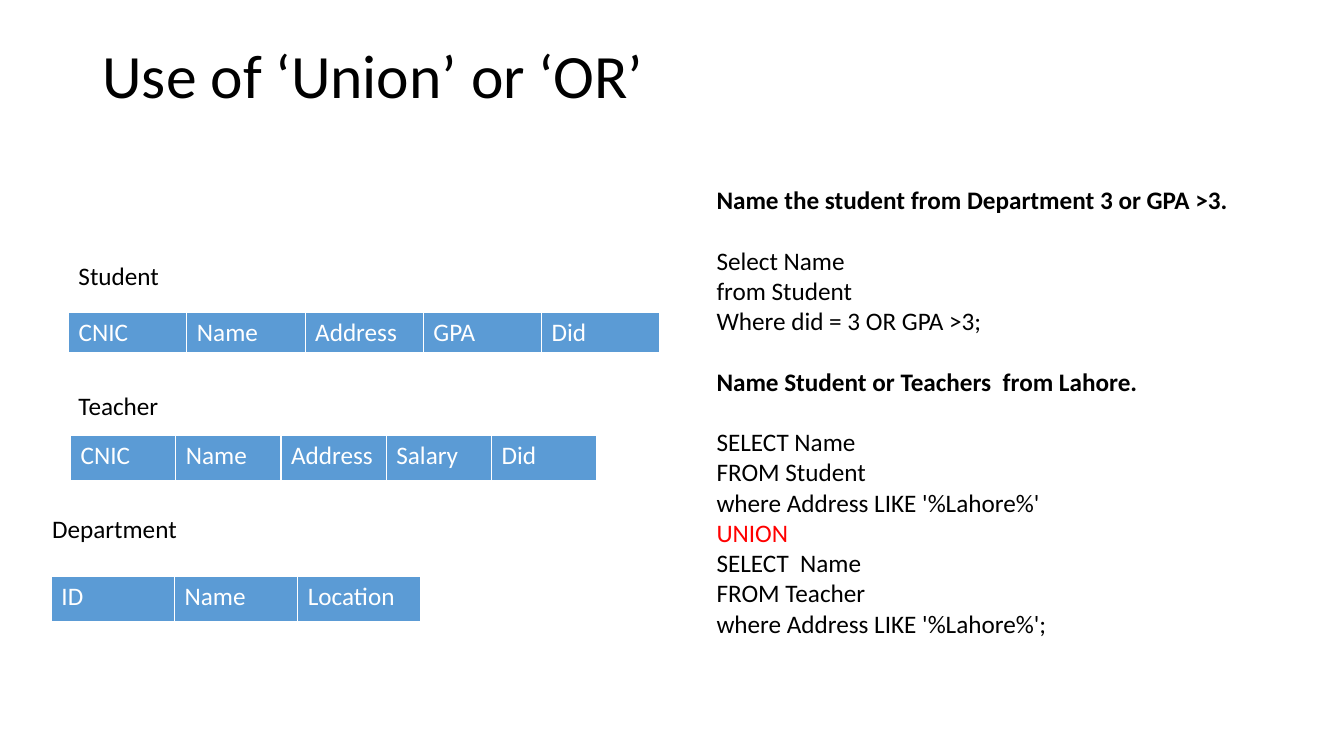
import pptx
import pptx.util
import pptx.dml.color
import pptx.enum.text

Pt = pptx.util.Pt


def style_text(frame, size, color, bold=False):
    for para in frame.paragraphs:
        for span in para.runs:
            span.font.name = "Calibri"
            span.font.size = Pt(size)
            span.font.bold = bold
            span.font.color.rgb = pptx.dml.color.RGBColor.from_string(color)


def add_text(page, left, top, width, height, text):
    box = page.shapes.add_textbox(Pt(left), Pt(top), Pt(width), Pt(height))
    box.text_frame.word_wrap = True
    box.text_frame.text = text
    style_text(box.text_frame, 18, "000000")
    return box


deck = pptx.Presentation()
deck.slide_width = Pt(960)
deck.slide_height = Pt(540)
page = deck.slides.add_slide(deck.slide_layouts[5])

title = page.shapes.title
title.left, title.top, title.width, title.height = Pt(66), Pt(28.8), Pt(828), Pt(104.4)
title.text_frame.text = "Use of ‘Union’ or ‘OR’"
title.text_frame.vertical_anchor = pptx.enum.text.MSO_ANCHOR.TOP
title.text_frame.paragraphs[0].alignment = pptx.enum.text.PP_ALIGN.LEFT
title.text_frame.paragraphs[0].line_spacing = 0.9
style_text(title.text_frame, 44, "000000")

relations = [
    ("Student", 49, 182.2, 49, 223.2, 84.5, 28.8, ["CNIC", "Name", "Address", "GPA", "Did"]),
    ("Teacher", 49, 275, 50.4, 311, 75.2, 32.4, ["CNIC", "Name", "Address", "Salary", "Did"]),
    ("Department", 30.2, 362.9, 36.7, 411.8, 88, 32.4, ["ID", "Name", "Location"]),
]
for name, label_left, label_top, left, top, column_width, height, fields in relations:
    add_text(page, label_left, label_top, 216, 28.8, name)
    table = page.shapes.add_table(
        1, len(fields), Pt(left), Pt(top), Pt(column_width * len(fields)), Pt(height)
    ).table
    for index, field in enumerate(fields):
        table.columns[index].width = Pt(column_width)
        cell = table.cell(0, index)
        cell.text_frame.text = field
        cell.fill.solid()
        cell.fill.fore_color.rgb = pptx.dml.color.RGBColor.from_string("5B9BD5")
        style_text(cell.text_frame, 18, "FFFFFF")

query_blocks = [
    ["Name the student from Department 3 or GPA >3."],
    ["Select Name", "from Student", "Where did = 3 OR GPA >3;"],
    ["Name Student or Teachers  from Lahore."],
    [
        "SELECT Name",
        "FROM Student",
        "where Address LIKE '%Lahore%'",
        "UNION",
        "SELECT  Name",
        "FROM Teacher",
        "where Address LIKE '%Lahore%';",
    ],
]
query_lines = [line for block in query_blocks for line in block]
queries = add_text(page, 504.7, 106.6, 455, 433, "\n".join(query_lines))
queries.text_frame.margin_top = Pt(25.2)
block_starts = [block[0] for block in query_blocks[1:]]
for para in queries.text_frame.paragraphs:
    span = para.runs[0]
    if para.text in block_starts:
        para.space_before = Pt(21.6)
    if para.text.startswith("Name "):
        span.font.bold = True
    if para.text == "UNION":
        span.font.color.rgb = pptx.dml.color.RGBColor.from_string("FF0000")
    if para.text == "SELECT Name":
        para.space_before = Pt(21.6)

deck.save("out.pptx")
